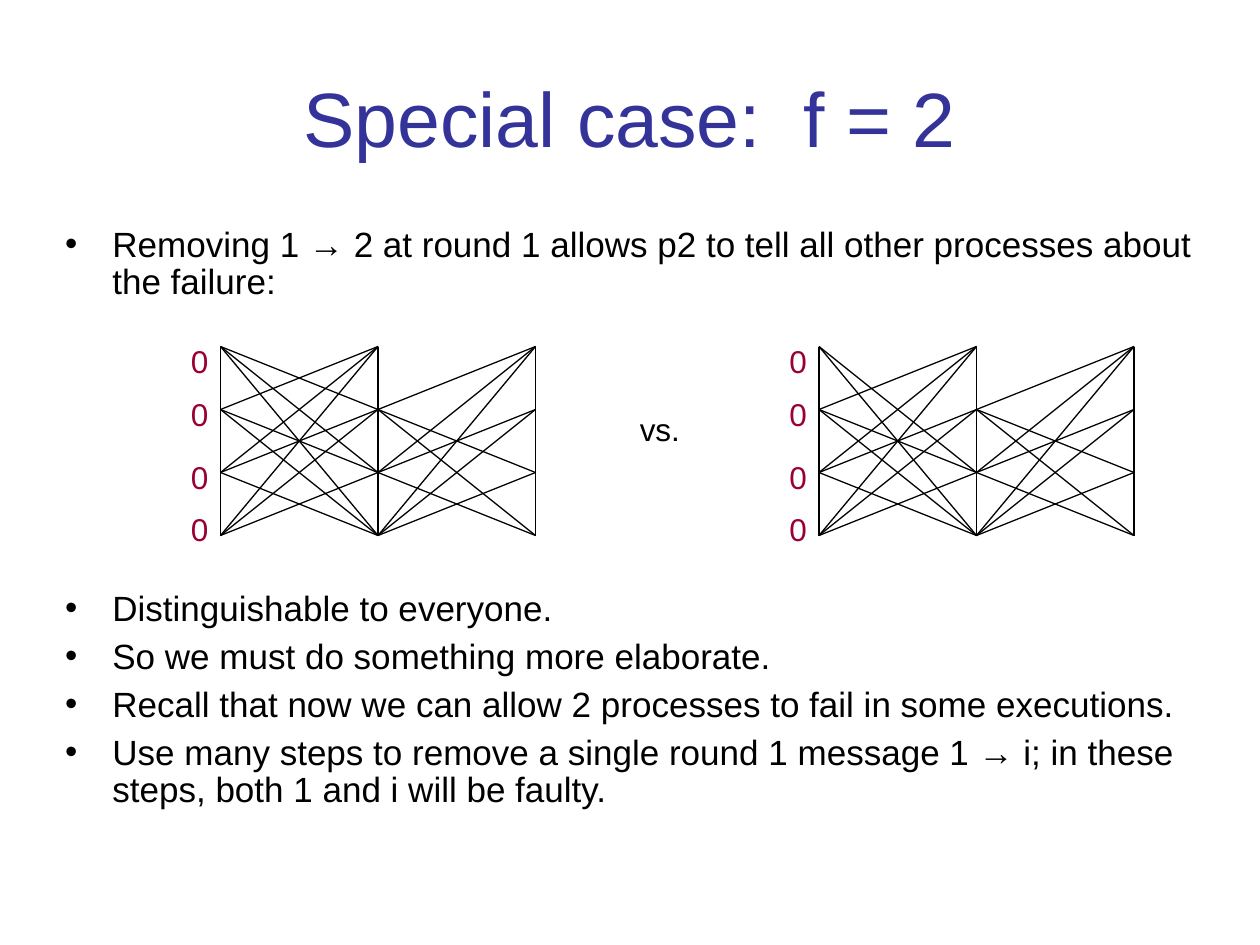
from itertools import permutations

from lxml.etree import SubElement
from pptx import Presentation
from pptx.dml.color import RGBColor
from pptx.enum.shapes import MSO_CONNECTOR
from pptx.enum.text import MSO_ANCHOR, MSO_AUTO_SIZE, PP_ALIGN
from pptx.oxml.ns import qn
from pptx.util import Pt

PX = 9525  # 96 px to the inch
FONT = "Arial"
COLORS = {"title": "333399", "text": "000000", "input": "990033", "line": "000000"}

# Content
TITLE = "Special case:  f = 2"
BULLETS = [  # text, space before in points
    ("Removing 1 → 2 at round 1 allows p2 to tell all other processes about the failure:", 5.75),
    ("Distinguishable to everyone.", 165),  # leaves room for the diagrams
    ("So we must do something more elaborate.", 5.75),
    ("Recall that now we can allow 2 processes to fail in some executions.", 5.75),
    ("Use many steps to remove a single round 1 message 1 → i; "
     "in these steps, both 1 and i will be faulty.", 5.75),
]
INPUTS = ["0", "0", "0", "0"]
INPUT_TOPS = [256, 296, 344, 384]
# Messages (sender, receiver) missing in each round
SILENT_1 = {(1, 2), (1, 3), (1, 4)}
DIAGRAMS = [
    {"left": 168, "missing": [set(), SILENT_1]},
    {"left": 624, "missing": [{(1, 2)}, SILENT_1]},
]
TOP, ROW, ROUND = 264, 48, 120
PROCESSES = range(1, len(INPUTS) + 1)


def px(*values):
    return [v * PX for v in values]


def write(p, text, size=18, color="text", align=PP_ALIGN.LEFT):
    p.alignment = align
    r = p.add_run()
    r.text = text
    r.font.name = FONT
    r.font.size = Pt(size)
    r.font.color.rgb = RGBColor.from_string(COLORS[color])


def add_label(shapes, text, left, top, width, **fmt):
    tf = shapes.add_textbox(*px(left, top, width, 38)).text_frame
    tf.word_wrap = False
    tf.auto_size = MSO_AUTO_SIZE.SHAPE_TO_FIT_TEXT
    write(tf.paragraphs[0], text, **fmt)


def add_line(shapes, x1, y1, x2, y2):
    line = shapes.add_connector(MSO_CONNECTOR.STRAIGHT, *px(x1, y1, x2, y2))
    line.line.color.rgb = RGBColor.from_string(COLORS["line"])
    line.line.width = Pt(0.75)
    SubElement(line._element.spPr, qn("a:effectLst"))


def add_bullet(p):
    pPr = p._p.get_or_add_pPr()
    pPr.set("marL", str(36 * PX))
    pPr.set("indent", str(-36 * PX))
    color = SubElement(pPr, qn("a:buClr"))
    SubElement(color, qn("a:srgbClr"), val=COLORS["text"])
    SubElement(pPr, qn("a:buFont"), typeface=FONT)
    SubElement(pPr, qn("a:buChar"), char="•")


def place(sp, left, top, width, height, anchor):
    sp.left, sp.top, sp.width, sp.height = px(left, top, width, height)
    tf = sp.text_frame
    tf.word_wrap = True
    tf.auto_size = MSO_AUTO_SIZE.NONE
    tf.vertical_anchor = anchor
    return tf


def add_diagram(slide, left, missing):
    shapes = slide.shapes.add_group_shape().shapes

    def row_y(process):
        return TOP + (process - 1) * ROW

    # One vertical line per time step
    for step in range(len(missing) + 1):
        x = left + step * ROUND
        add_line(shapes, x, row_y(PROCESSES[0]), x, row_y(PROCESSES[-1]))
    # Messages of each round
    for i, lost in enumerate(missing):
        x = left + i * ROUND
        for sender, receiver in permutations(PROCESSES, 2):
            if (sender, receiver) not in lost:
                add_line(shapes, x, row_y(sender), x + ROUND, row_y(receiver))
    # Input values
    for text, top in zip(INPUTS, INPUT_TOPS):
        add_label(shapes, text, left - 32, top, 33, color="input")


def main():
    prs = Presentation()
    prs.slide_width, prs.slide_height = px(960, 720)
    s = prs.slides.add_slide(prs.slide_layouts[1])

    # Title
    tf = place(s.shapes.title, 48, 29, 864, 120, MSO_ANCHOR.MIDDLE)
    write(tf.paragraphs[0], TITLE, size=44, color="title", align=PP_ALIGN.CENTER)

    # Bullets
    tf = place(s.placeholders[1], 40, 168, 896, 512, MSO_ANCHOR.TOP)
    for i, (text, before) in enumerate(BULLETS):
        p = tf.add_paragraph() if i else tf.paragraphs[0]
        p.line_spacing = 0.9
        p.space_before = Pt(before)
        add_bullet(p)
        write(p, text, size=20)

    # Diagrams
    for diagram in DIAGRAMS:
        add_diagram(s, **diagram)
    add_label(s.shapes, "vs.", 478, 308, 50)

    prs.save("out.pptx")


if __name__ == "__main__":
    main()
